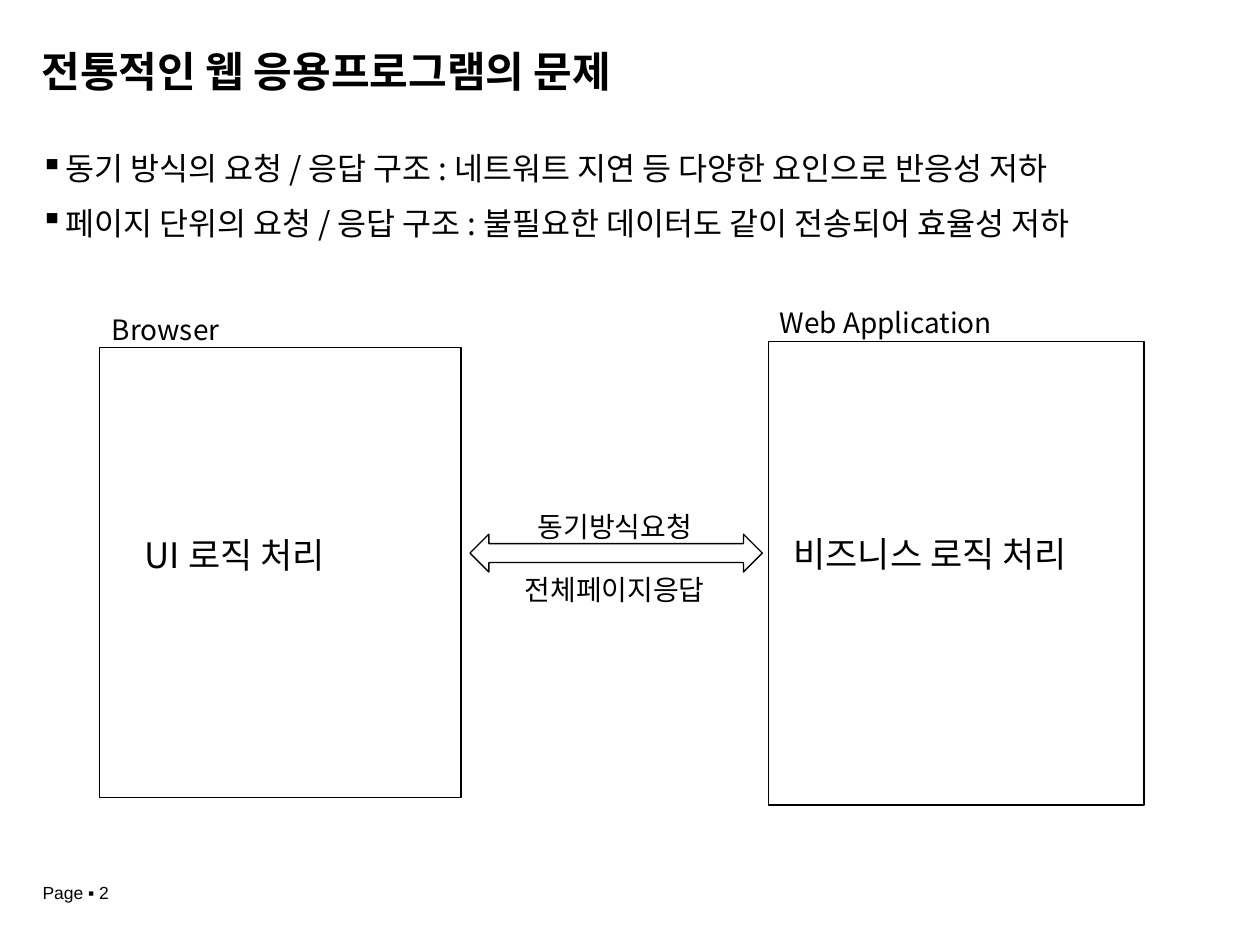
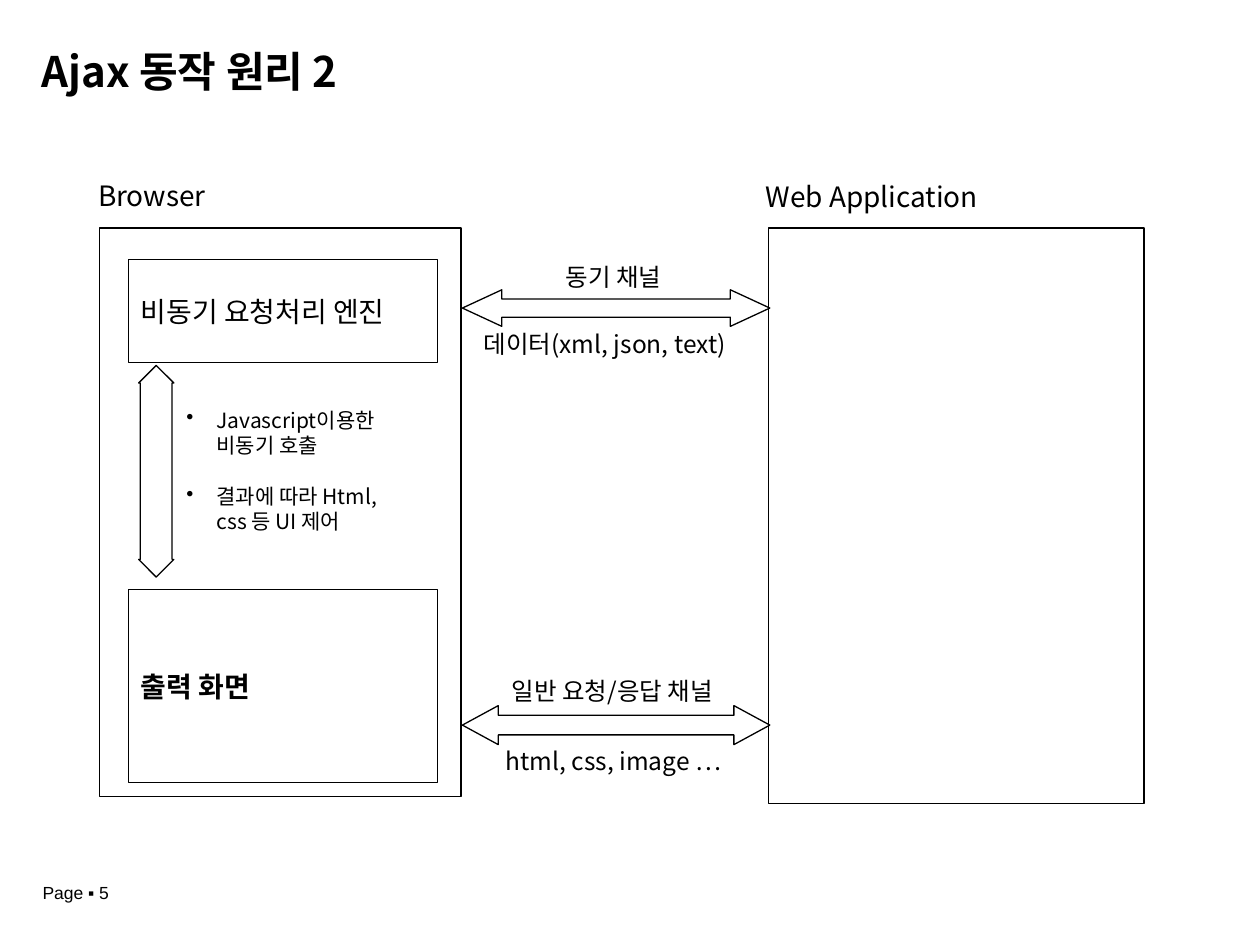
from lxml import etree
from pptx import Presentation
from pptx import util as u
from pptx.dml.color import RGBColor
from pptx.enum import shapes, text
from pptx.oxml.ns import qn

COLORS = {"ink": "000000", "paper": "FFFFFF"}
FONT = "Noto Sans CJK KR"
FOOTER_FONT = "Arial"
LINE_FACTOR = 1.22
BROWSER_LEFT, BROWSER_WIDTH = 0.79, 2.87
SERVER_LEFT, SERVER_WIDTH = 6.1, 2.98
PANEL_LEFT, PANEL_WIDTH = 1.02, 2.45
CHANNEL_LEFT, CHANNEL_WIDTH = 3.67, 2.44


def color(name):
    """Return the named palette colour."""
    return RGBColor.from_string(COLORS[name])


def inches(box):
    """Convert left, top, width and height to lengths."""
    return [u.Inches(value) for value in box]


def format_paragraph(paragraph, size, bold=False, font=FONT, factor=LINE_FACTOR):
    """Apply font, size and line height to a paragraph."""
    paragraph.line_spacing = u.Pt(round(size * factor, 1))
    for run in paragraph.runs:
        run.font.name = font
        run.font.size = u.Pt(size)
        run.font.bold = bold
        run.font.color.rgb = color("ink")
        east_asian = etree.SubElement(run.font._element, qn("a:ea"))
        east_asian.set("typeface", font)


def add_text(slide, box, lines, size, align=text.PP_ALIGN.LEFT, inset=(0.1, 0.05), **style):
    """Add a wrapped text box with one paragraph per line."""
    frame = slide.shapes.add_textbox(*inches(box)).text_frame
    frame.word_wrap = True
    frame.margin_left = frame.margin_right = u.Inches(inset[0])
    frame.margin_top = frame.margin_bottom = u.Inches(inset[1])
    frame.text = "\n".join(lines)
    for paragraph in frame.paragraphs:
        paragraph.alignment = align
        format_paragraph(paragraph, size, **style)
    return frame


def add_bullets(slide, box, lines, size, bullet, indent, gap, inset=(0.1, 0.05)):
    """Add a bulleted list with a hanging indent."""
    frame = add_text(slide, box, lines, size, inset=inset)
    for paragraph in frame.paragraphs:
        paragraph.space_after = u.Pt(gap)
        properties = paragraph._p.get_or_add_pPr()
        properties.set("marL", str(u.Inches(indent)))
        properties.set("indent", str(-u.Inches(indent)))
        etree.SubElement(properties, qn("a:buChar")).set("char", bullet)


def add_outline(slide, kind, box):
    """Add a white shape with a thin black outline."""
    shape = slide.shapes.add_shape(kind, *inches(box))
    shape.shadow.inherit = False
    shape.fill.solid()
    shape.fill.fore_color.rgb = color("paper")
    shape.line.color.rgb = color("ink")
    shape.line.width = u.Pt(0.75)
    return shape


def add_box(slide, box, label="", bold=False):
    """Add a rectangle with an optional label at its left."""
    shape = add_outline(slide, shapes.MSO_SHAPE.RECTANGLE, box)
    if label:
        frame = shape.text_frame
        frame.word_wrap = True
        frame.vertical_anchor = text.MSO_ANCHOR.MIDDLE
        frame.text = label
        frame.paragraphs[0].alignment = text.PP_ALIGN.LEFT
        format_paragraph(frame.paragraphs[0], 16, bold)


def add_arrow(slide, box, head, kind=shapes.MSO_SHAPE.LEFT_RIGHT_ARROW):
    """Add a double block arrow with the given head length ratio."""
    shape = add_outline(slide, kind, box)
    shape.adjustments[0] = 0.5
    shape.adjustments[1] = head


def add_channel(slide, box, head, labels, size):
    """Add a double arrow with (label, centre, top) captions around it."""
    add_arrow(slide, box, head)
    width = 2.4
    for label, center, top in labels:
        add_text(slide, (center - width / 2, top, width, 0.37), [label], size,
                 align=text.PP_ALIGN.CENTER)


def add_page(presentation, title, number):
    """Add a blank slide with its title and page footer."""
    slide = presentation.slides.add_slide(presentation.slide_layouts[6])
    add_text(slide, (0.24, 6.96, 1.47, 0.27), [f"Page ▪ {number}"], 10, font=FOOTER_FONT, factor=1.15)
    add_text(slide, (0.33, 0.33, 9.32, 0.49), [title], 24, inset=(0, 0.05), bold=True, factor=1.15)
    return slide


def build_traditional(presentation):
    """Build the slide on problems of traditional web applications."""
    slide = add_page(presentation, "전통적인 웹 응용프로그램의 문제", 2)
    add_bullets(slide, (0.32, 1.18, 9.32, 0.9), [
        "동기 방식의 요청 / 응답 구조 : 네트워트 지연 등 다양한 요인으로 반응성 저하",
        "페이지 단위의 요청 / 응답 구조 : 불필요한 데이터도 같이 전송되어 효율성 저하",
    ], 18, "▪", 0.2, 9, inset=(0, 0))
    add_box(slide, (BROWSER_LEFT, 2.76, BROWSER_WIDTH, 3.57))
    add_box(slide, (SERVER_LEFT, 2.71, SERVER_WIDTH, 3.68))
    add_text(slide, (0.79, 2.43, 1.42, 0.37), ["Browser"], 16)
    add_text(slide, (6.09, 2.37, 2.37, 0.37), ["Web Application"], 16)
    add_channel(slide, (3.73, 4.24, 2.32, 0.3), 0.5,
                [("동기방식요청", 4.88, 3.99), ("전체페이지응답", 4.88, 4.49)], 16)
    add_text(slide, (1.05, 4.18, 2.33, 0.44), ["UI 로직 처리"], 20)
    add_text(slide, (6.2, 4.17, 2.73, 0.44), ["비즈니스 로직 처리"], 20)


def build_ajax(presentation):
    """Build the slide on how Ajax works."""
    slide = add_page(presentation, "Ajax 동작 원리 2", 5)
    add_box(slide, (BROWSER_LEFT, 1.81, BROWSER_WIDTH, 4.51))
    add_box(slide, (SERVER_LEFT, 1.81, SERVER_WIDTH, 4.57))
    add_text(slide, (0.68, 1.36, 1.42, 0.37), ["Browser"], 16)
    add_text(slide, (5.98, 1.37, 2.38, 0.37), ["Web Application"], 16)
    add_box(slide, (PANEL_LEFT, 2.06, PANEL_WIDTH, 0.82), "비동기 요청처리 엔진")
    add_box(slide, (PANEL_LEFT, 4.68, PANEL_WIDTH, 1.53), "출력 화면", bold=True)
    add_channel(slide, (CHANNEL_LEFT, 2.3, CHANNEL_WIDTH, 0.29), 1.08,
                [("동기 채널", 4.87, 2.03), ("데이터(xml, json, text)", 4.8, 2.56)], 14)
    add_channel(slide, (CHANNEL_LEFT, 5.6, CHANNEL_WIDTH, 0.31), 0.92,
                [("일반 요청/응답 채널", 4.86, 5.31), ("html, css, image …", 4.87, 5.87)], 14)
    add_arrow(slide, (1.1, 2.9, 0.28, 1.68), 0.9, shapes.MSO_SHAPE.UP_DOWN_ARROW)
    add_bullets(slide, (1.38, 3.18, 1.95, 1.1), [
        "Javascript이용한 비동기 호출",
        "결과에 따라 Html, css 등 UI 제어",
    ], 12, "•", 0.24, 14.4)


def main():
    """Build and save the presentation."""
    presentation = Presentation()
    presentation.slide_width = u.Inches(10)
    presentation.slide_height = u.Inches(7.5)
    build_traditional(presentation)
    build_ajax(presentation)
    presentation.save("out.pptx")


if __name__ == "__main__":
    main()
